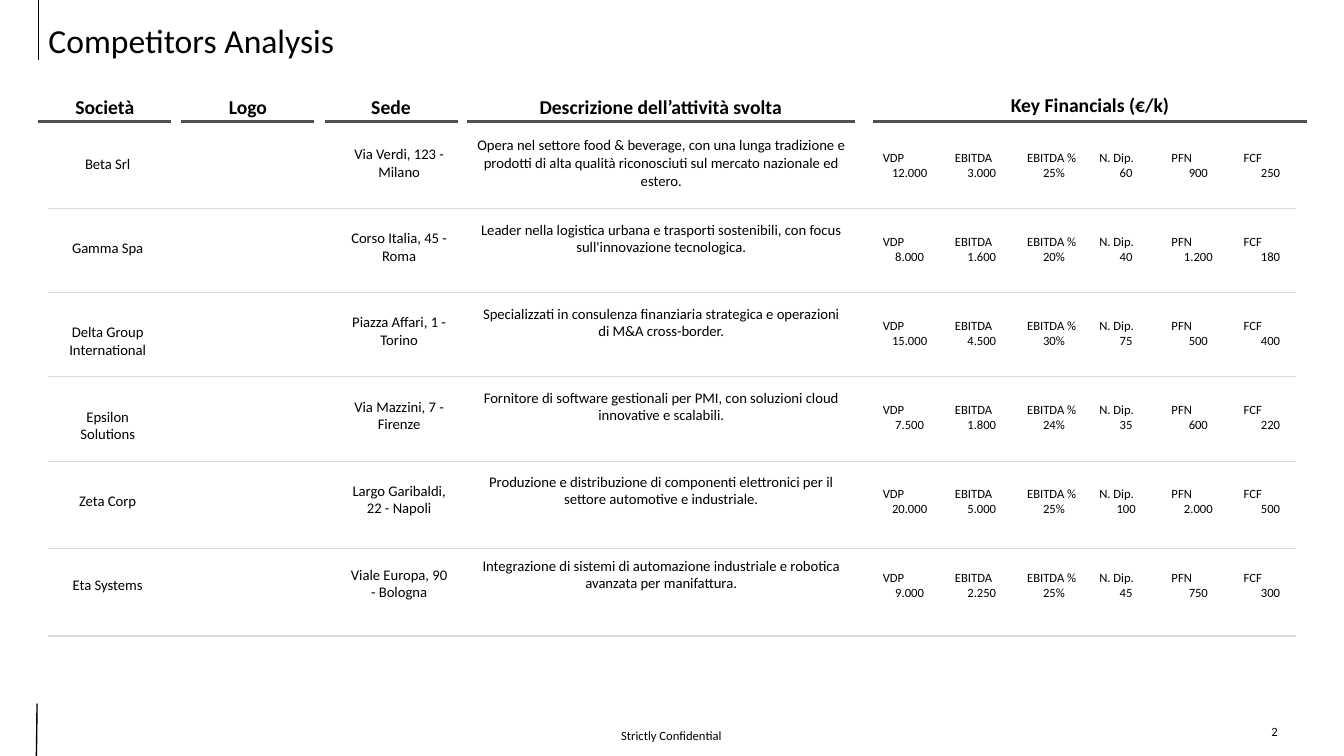
from lxml.etree import SubElement
from pptx import Presentation
from pptx.dml.color import RGBColor
from pptx.enum.shapes import MSO_CONNECTOR
from pptx.enum.text import MSO_ANCHOR, MSO_AUTO_SIZE, PP_ALIGN
from pptx.oxml.ns import qn
from pptx.util import Pt

THEME = {
    "ink": RGBColor(0x00, 0x00, 0x00),
    "header_rule": RGBColor(0x50, 0x50, 0x50),
    "row_rule": RGBColor(0xD9, 0xD9, 0xD9),
    "title": {"name": "Calibri", "size": Pt(24), "bold": False},
    "header": {"name": "Calibri", "size": Pt(14), "bold": True},
    "body": {"name": "Calibri", "size": Pt(10.5), "bold": False},
    "small": {"name": "Calibri", "size": Pt(9), "bold": False},
}


def write(box, style, lines, alignments=(PP_ALIGN.CENTER,), anchor=MSO_ANCHOR.TOP):
    frame = box.text_frame
    frame_format = {"word_wrap": True, "auto_size": MSO_AUTO_SIZE.NONE, "vertical_anchor": anchor}
    for name, value in frame_format.items():
        setattr(frame, name, value)
    frame.text = "\n".join(lines)
    for para, alignment in zip(frame.paragraphs, alignments):
        para.alignment = alignment
        span = para.runs[0]
        for name, value in THEME[style].items():
            setattr(span.font, name, value)
        span.font.color.rgb = THEME["ink"]


def draw_line(page, start, end, color, width):
    line = page.shapes.add_connector(MSO_CONNECTOR.STRAIGHT, *map(Pt, start + end))
    line.line.color.rgb = THEME[color]
    line.line.width = Pt(width)
    SubElement(line.element.spPr, qn("a:effectLst"))


deck = Presentation()
deck.slide_width, deck.slide_height = Pt(960), Pt(540)
page = deck.slides.add_slide(deck.slide_layouts[5])

title = page.shapes.title
title_place = {"left": Pt(27.4), "top": Pt(15.8), "width": Pt(838.8), "height": Pt(28.8)}
for name, value in title_place.items():
    setattr(title, name, value)
write(title, "title", ["Competitors Analysis"], [PP_ALIGN.LEFT], MSO_ANCHOR.MIDDLE)
title.text_frame.paragraphs[0].line_spacing = 0.9

draw_line(page, (27.4, 43.2), (27.4, 0), "ink", 1)
draw_line(page, (26, 540), (26.5, 502.6), "ink", 1)

footer = page.shapes.add_textbox(Pt(341.3), Pt(511.2), Pt(276.5), Pt(28.8))
write(footer, "small", ["Strictly Confidential"], anchor=MSO_ANCHOR.MIDDLE)
page_number = page.shapes.add_textbox(Pt(887), Pt(513.4), Pt(46.8), Pt(28.8))
write(page_number, "small", ["2"])

HEADERS = [
    ("Società", 27.4, 122.4, 64.1),
    ("Logo", 129.6, 224.6, 64.1),
    ("Sede", 231.8, 326.9, 64.1),
    ("Descrizione dell’attività svolta", 333.4, 610.6, 64.1),
    ("Key Financials (€/k)", 623.5, 933.8, 62.6),
]
for label, left, right, top in HEADERS:
    draw_line(page, (left, 87.1), (right, 87.1), "header_rule", 2.25)
    header = page.shapes.add_textbox(Pt(left), Pt(top), Pt(right - left), Pt(23.8))
    write(header, "header", [label])

for rule_y in (149, 208.8, 268.6, 329.8, 391.7, 454.3):
    draw_line(page, (34.4, rule_y), (925.9, rule_y), "row_rule", 0.75)

TEXT_COLUMNS = [(34.4, 107.3, 85, 20.2), (242.6, 100.1, 85, 32.4), (333.4, 93.8, 277.9, 20.2)]
KPIS = ["VDP", "EBITDA", "EBITDA %", "N. Dip.", "PFN", "FCF"]
KPI_LEFT, KPI_TOP, KPI_PITCH = 623.5, 103.2, 51.56
ROW_PITCH = 60.05

COMPETITORS = [
    ("Beta Srl", "Via Verdi, 123 - Milano",
     "Opera nel settore food & beverage, con una lunga tradizione e prodotti di alta qualità "
     "riconosciuti sul mercato nazionale ed estero.",
     ["12.000", "3.000", "25%", "60", "900", "250"]),
    ("Gamma Spa", "Corso Italia, 45 - Roma",
     "Leader nella logistica urbana e trasporti sostenibili, con focus sull'innovazione tecnologica.",
     ["8.000", "1.600", "20%", "40", "1.200", "180"]),
    ("Delta Group International", "Piazza Affari, 1 - Torino",
     "Specializzati in consulenza finanziaria strategica e operazioni di M&A cross-border.",
     ["15.000", "4.500", "30%", "75", "500", "400"]),
    ("Epsilon Solutions", "Via Mazzini, 7 - Firenze",
     "Fornitore di software gestionali per PMI, con soluzioni cloud innovative e scalabili.",
     ["7.500", "1.800", "24%", "35", "600", "220"]),
    ("Zeta Corp", "Largo Garibaldi, 22 - Napoli",
     "Produzione e distribuzione di componenti elettronici per il settore automotive e industriale.",
     ["20.000", "5.000", "25%", "100", "2.000", "500"]),
    ("Eta Systems", "Viale Europa, 90 - Bologna",
     "Integrazione di sistemi di automazione industriale e robotica avanzata per manifattura.",
     ["9.000", "2.250", "25%", "45", "750", "300"]),
]
for row, (*texts, figures) in enumerate(COMPETITORS):
    offset = row * ROW_PITCH
    for text, (left, top, width, height) in zip(texts, TEXT_COLUMNS):
        cell = page.shapes.add_textbox(Pt(left), Pt(top + offset), Pt(width), Pt(height))
        write(cell, "body", [text])
    for column, (kpi, figure) in enumerate(zip(KPIS, figures)):
        left = KPI_LEFT + column * KPI_PITCH
        cell = page.shapes.add_textbox(Pt(left), Pt(KPI_TOP + offset), Pt(52.5), Pt(28.8))
        write(cell, "small", [kpi, figure], [PP_ALIGN.LEFT, PP_ALIGN.CENTER])

deck.save("out.pptx")
